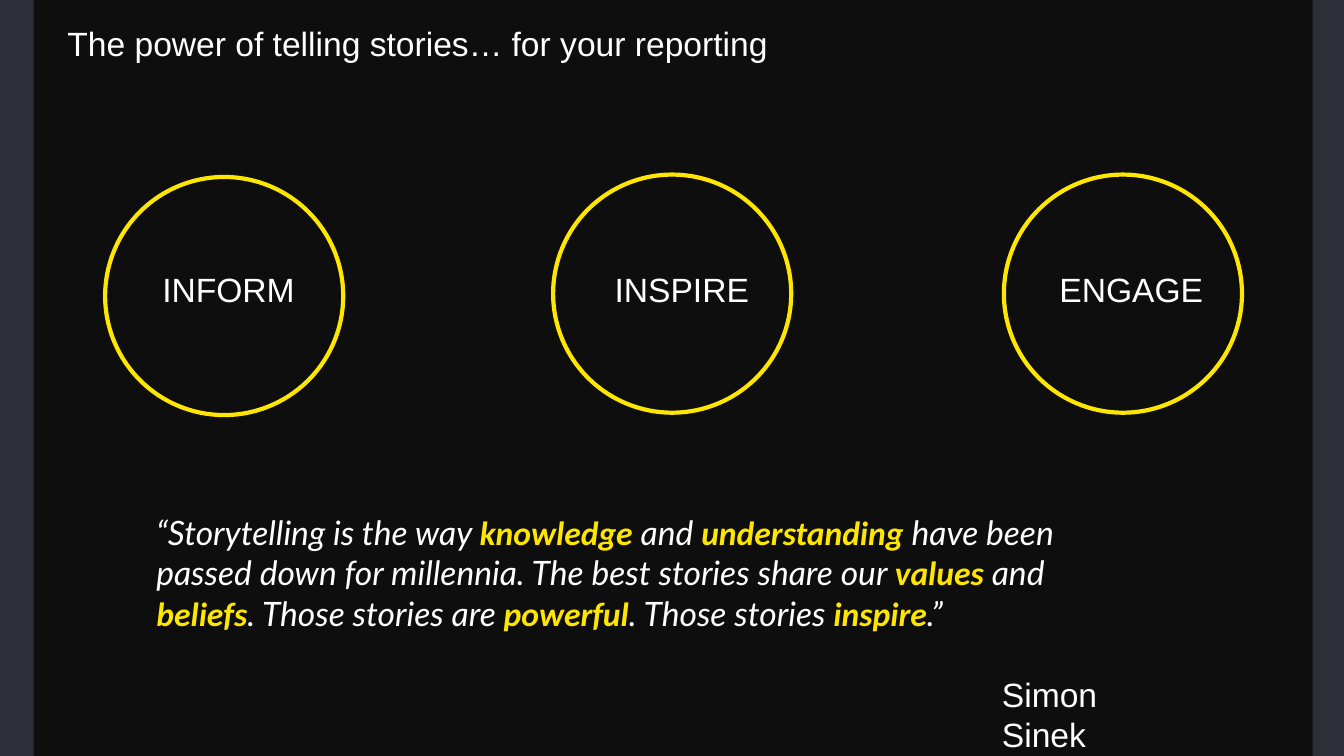
from pptx import Presentation
from pptx.dml.color import RGBColor
from pptx.enum.shapes import MSO_SHAPE
from pptx.enum.text import MSO_ANCHOR, MSO_AUTO_SIZE, PP_ALIGN
from pptx.oxml.ns import qn
from pptx.util import Cm, Pt
from lxml.etree import SubElement

WHITE, YELLOW, PANEL, BACKGROUND = "FFFFFF", "FFE600", "0D0D0D", "2E2E38"
CIRCLE_SIZE = 6
CIRCLES = [
    ("INFORM", 2.65, 4.46, 1.44),
    ("INSPIRE", 13.94, 4.4, 1.55),
    ("ENGAGE", 25.3, 4.4, 1.4),
]
QUOTE = [
    [("“Storytelling is the way ", False), ("knowledge", True), (" and ", False),
     ("understanding", True), (" have been", False)],
    [("passed down for millennia. The best stories share our ", False),
     ("values", True), (" and", False)],
    [("beliefs", True), (". Those stories are ", False), ("powerful", True),
     (". Those stories ", False), ("inspire", True), (".”", False)],
]


def colour(value):
    """Turn a hex string into a colour."""
    return RGBColor.from_string(value)


def format_font(font, name="Arial", value=WHITE):
    """Give a font its name, colour and the common size."""
    font.name = name
    font.size = Pt(24)
    font.color.rgb = colour(value)


def prepare_frame(frame):
    """Remove the margins and wrap the text from the top of its box."""
    frame.margin_left = frame.margin_top = frame.margin_right = frame.margin_bottom = 0
    frame.word_wrap = True
    frame.auto_size = MSO_AUTO_SIZE.NONE
    frame.vertical_anchor = MSO_ANCHOR.TOP


def add_text(slide, text, left, top, width, height):
    """Add a box with one paragraph of plain text."""
    box = slide.shapes.add_textbox(Cm(left), Cm(top), Cm(width), Cm(height))
    prepare_frame(box.text_frame)
    paragraph = box.text_frame.paragraphs[0]
    paragraph.text = text
    format_font(paragraph.runs[0].font)
    return paragraph


def add_panel(slide, left, top, width, height):
    """Add the nearly opaque dark panel behind the content."""
    panel = slide.shapes.add_shape(MSO_SHAPE.RECTANGLE, Cm(left), Cm(top), Cm(width), Cm(height))
    panel.shadow.inherit = False
    panel.fill.solid()
    panel.fill.fore_color.rgb = colour(PANEL)
    panel.line.fill.background()
    fill_colour = panel.fill._xPr.find(qn("a:solidFill"))[0]
    SubElement(fill_colour, qn("a:alpha")).set("val", "94000")


def place_title(slide, left, top, width, height):
    """Move, fill and format the title, in front of the panel."""
    title = slide.shapes.title
    slide.shapes._spTree.append(title._element)
    title.left, title.top, title.width, title.height = Cm(left), Cm(top), Cm(width), Cm(height)
    prepare_frame(title.text_frame)
    title.text_frame.text = "The power of telling stories… for your reporting"
    paragraph = title.text_frame.paragraphs[0]
    paragraph.alignment = PP_ALIGN.LEFT
    format_font(paragraph.runs[0].font)


def add_circle(slide, label, left, top, label_offset):
    """Add a yellow ring with its label."""
    ring = slide.shapes.add_shape(MSO_SHAPE.OVAL, Cm(left), Cm(top), Cm(CIRCLE_SIZE), Cm(CIRCLE_SIZE))
    ring.shadow.inherit = False
    ring.fill.background()
    ring.line.color.rgb = colour(YELLOW)
    ring.line.width = Pt(3)
    add_text(slide, label, left + label_offset, 6.78, 4.2, 1.1)


def add_quote(slide, left, top, width, height):
    """Add the quotation with its emphasised words and its author."""
    box = slide.shapes.add_textbox(Cm(left), Cm(top), Cm(width), Cm(height))
    frame = box.text_frame
    prepare_frame(frame)
    for index, line in enumerate(QUOTE):
        paragraph = frame.add_paragraph() if index else frame.paragraphs[0]
        paragraph.line_spacing = Pt(28.8)
        for text, emphasised in line:
            run = paragraph.add_run()
            run.text = text
            format_font(run.font, *(("Calibri", YELLOW) if emphasised else ("Lato", WHITE)))
            run.font.italic = True
            run.font.bold = emphasised
    author = add_text(slide, "Simon Sinek", left + 21.31, top + 4.07, 3, 2.05)
    author.line_spacing = Pt(28.8)


def main():
    """Build and save the presentation."""
    presentation = Presentation()
    presentation.slide_width, presentation.slide_height = Cm(33.87), Cm(19.05)
    slide = presentation.slides.add_slide(presentation.slide_layouts[5])
    slide.background.fill.solid()
    slide.background.fill.fore_color.rgb = colour(BACKGROUND)
    add_panel(slide, 0.85, 0, 32.23, 19.05)
    place_title(slide, 1.7, 0.57, 20, 1.17)
    for circle in CIRCLES:
        add_circle(slide, *circle)
    add_quote(slide, 3.94, 12.9, 24.82, 3.2)
    presentation.save("out.pptx")


if __name__ == "__main__":
    main()
